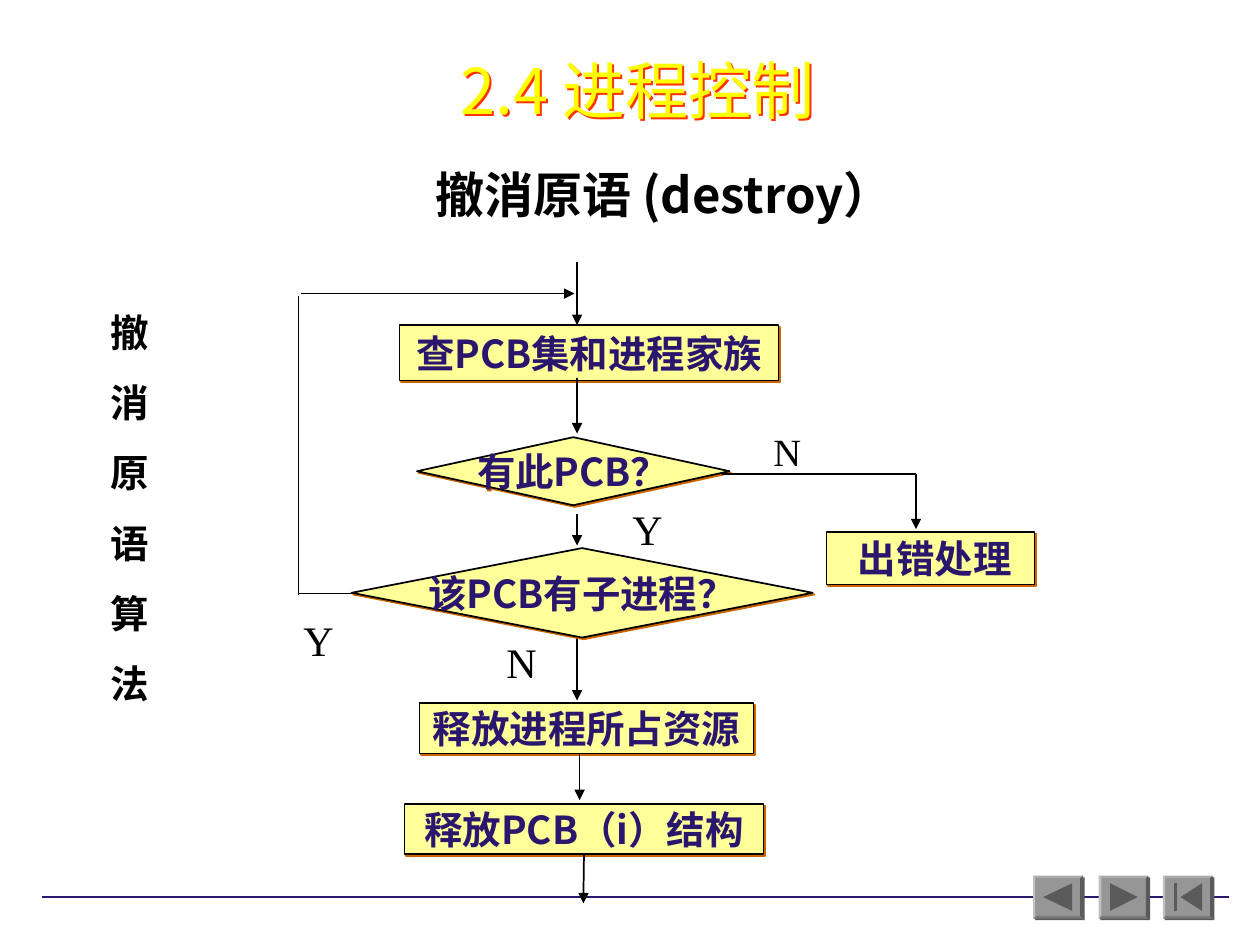
import pptx
import pptx.util
import pptx.dml.color
import pptx.enum.shapes
import pptx.enum.text
import pptx.oxml
import pptx.oxml.ns

# Grid of 100 columns by 75 rows over a 10 x 7.5 inch slide
UNIT = pptx.util.Inches(0.1)
COLUMNS, ROWS = 100, 75
COLORS = {
    "ink": "000000", "title": "FFFF00", "title_shadow": "FF3300",
    "step": "FFFF99", "step_text": "2B166E", "step_shadow": "CC6600",
    "rule": "2B166E", "button": "969696", "button_dark": "5A5A5A",
}
SANS, SANS_TITLE, SERIF = "Noto Sans CJK SC", "Noto Sans CJK JP", "Times New Roman"
KINDS = pptx.enum.shapes.MSO_SHAPE
CENTER = pptx.enum.text.PP_ALIGN.CENTER
LEFT = pptx.enum.text.PP_ALIGN.LEFT
MIDDLE = pptx.enum.text.MSO_ANCHOR.MIDDLE


def grid(*cells):
    return [round(cell * UNIT) for cell in cells]


def rgb(name):
    return pptx.dml.color.RGBColor.from_string(COLORS[name])


def add_shadow(shape, color, distance=1.4):
    """Give the shape a hard shadow to the lower right."""
    shape.shadow.inherit = False
    effects = shape._element.spPr.find(pptx.oxml.ns.qn("a:effectLst"))
    effects.append(pptx.oxml.parse_xml(
        f'<a:outerShdw {pptx.oxml.ns.nsdecls("a")} blurRad="0" '
        f'dist="{pptx.util.Pt(distance)}" dir="2700000" algn="ctr" rotWithShape="0">'
        f'<a:srgbClr val="{COLORS[color]}"/></a:outerShdw>'))


def add_run(paragraph, text, size, font, color, bold=False):
    run = paragraph.add_run()
    run.text = text
    run.font.size = pptx.util.Pt(size)
    run.font.bold = bold
    run.font.color.rgb = rgb(color)
    run.font.name = font
    run.font._element.find(pptx.oxml.ns.qn("a:latin")).addnext(pptx.oxml.parse_xml(
        f'<a:ea {pptx.oxml.ns.nsdecls("a")} typeface="{font}"/>'))


def add_heading(slide, box, text, size, font, color, bold):
    heading = slide.shapes.add_textbox(*grid(*box))
    frame = heading.text_frame
    frame.word_wrap = True
    frame.vertical_anchor = MIDDLE
    frame.paragraphs[0].alignment = CENTER
    add_run(frame.paragraphs[0], text, size, font, color, bold)
    return heading


def add_label(slide, box, lines, size, font, bold=False):
    """Place one paragraph per line, with space between the lines."""
    frame = slide.shapes.add_textbox(*grid(*box)).text_frame
    frame.word_wrap = True
    frame.auto_size = pptx.enum.text.MSO_AUTO_SIZE.SHAPE_TO_FIT_TEXT
    for number, line in enumerate(lines):
        paragraph = frame.add_paragraph() if number else frame.paragraphs[0]
        paragraph.alignment = LEFT
        if number:
            paragraph.space_before = pptx.util.Pt(13.8)
        add_run(paragraph, line, size, font, "ink", bold)


def add_step(slide, kind, box, text, lead=""):
    step = slide.shapes.add_shape(kind, *grid(*box))
    step.fill.solid()
    step.fill.fore_color.rgb = rgb("step")
    step.line.color.rgb = rgb("ink")
    step.line.width = pptx.util.Pt(1)
    add_shadow(step, "step_shadow")
    frame = step.text_frame
    frame.word_wrap = False
    frame.vertical_anchor = MIDDLE
    paragraph = frame.paragraphs[0]
    paragraph.alignment = CENTER
    if lead:
        add_run(paragraph, lead, 22, SANS, "step_text")
    add_run(paragraph, text, 22, SANS, "step_text", True)
    return step


def add_line(slide, ends, arrow=False, color="ink", width=1):
    line = slide.shapes.add_connector(
        pptx.enum.shapes.MSO_CONNECTOR.STRAIGHT, *grid(*ends))
    line.line.color.rgb = rgb(color)
    line.line.width = pptx.util.Pt(width)
    if arrow:
        line.line._get_or_add_ln().append(pptx.oxml.parse_xml(
            f'<a:tailEnd {pptx.oxml.ns.nsdecls("a")} type="triangle"/>'))
    line._element.spPr.append(pptx.oxml.parse_xml(
        f'<a:effectLst {pptx.oxml.ns.nsdecls("a")}/>'))
    return line


def add_button(slide, left, icon):
    """Draw a bevelled button; icon outlines are offsets from its corner."""
    top = 69.5
    button = slide.shapes.add_shape(KINDS.BEVEL, *grid(left, top, 3.95, 3.4))
    button.adjustments[0] = 0.06
    button.fill.solid()
    button.fill.fore_color.rgb = rgb("button")
    button.line.fill.background()
    add_shadow(button, "button_dark")
    for outline in icon:
        points = [grid(left + x, top + y) for x, y in outline]
        builder = slide.shapes.build_freeform(*points[0])
        builder.add_line_segments(points[1:], close=True)
        symbol = builder.convert_to_shape()
        symbol.shadow.inherit = False
        symbol.fill.solid()
        symbol.fill.fore_color.rgb = rgb("button_dark")
        symbol.line.fill.background()


def main():
    deck = pptx.Presentation()
    deck.slide_width, deck.slide_height = grid(COLUMNS, ROWS)
    slide = deck.slides.add_slide(deck.slide_layouts[6])

    # Footer rule and navigation buttons
    add_line(slide, (3.3, 71.2, 97.5, 71.2), color="rule", width=0.75)
    back = [(0.8, 1.7), (3.1, 0.6), (3.1, 2.8)]
    forward = [(0.9, 0.6), (3.1, 1.7), (0.9, 2.8)]
    first = [(1.4, 1.7), (3.1, 0.6), (3.1, 2.8)]
    bar = [(0.9, 0.6), (1.1, 0.6), (1.1, 2.8), (0.9, 2.8)]
    for left, icon in ((82, [back]), (87.2, [forward]), (92.3, [first, bar])):
        add_button(slide, left, icon)

    # Headings and side label
    title = add_heading(slide, (8.1, 3.3, 85, 7.5), "2.4 进程控制",
                        36, SANS_TITLE, "title", False)
    add_shadow(title, "title_shadow", 1.8)
    add_heading(slide, (20, 12.5, 65.4, 5.8), "撤消原语 (destroy）",
                28, SANS, "ink", True)
    add_label(slide, (7.8, 24, 5.6, 32.6), "撤消原语算法", 22, SANS, True)

    # Flowchart steps
    add_step(slide, KINDS.RECTANGLE, (31.7, 25.8, 30.1, 4.4), "查PCB集和进程家族")
    add_step(slide, KINDS.FLOWCHART_DECISION, (33.1, 34.7, 24.8, 5.4), "有此PCB？")
    add_step(slide, KINDS.RECTANGLE, (65.6, 42.2, 16.5, 4.2), "出错处理", lead=" ")
    add_step(slide, KINDS.RECTANGLE, (33.3, 55.8, 26.5, 4), "释放进程所占资源")
    release_pcb = add_step(slide, KINDS.RECTANGLE, (32.1, 63.8, 28.5, 4),
                           "释放PCB（i）结构")

    # Downward flow: column, start row, end row
    for column, start, end in ((45.8, 20.8, 25.8), (45.8, 30, 34.4),
                               (45.8, 40.8, 43.3), (45.8, 50.4, 55.6),
                               (46, 59.8, 63.5)):
        add_line(slide, (column, start, column, end), arrow=True)
    leave = add_line(slide, (46.3, 67.8, 46.3, 71.7), arrow=True)
    leave.begin_connect(release_pcb, 2)

    # Branch to error handling
    add_line(slide, (57.3, 37.6, 72.7, 37.6))
    add_line(slide, (72.7, 37.6, 72.7, 42), arrow=True)

    # Child-process check and its loop back to the start
    add_step(slide, KINDS.FLOWCHART_DECISION, (27.9, 43.5, 36.6, 7.1), "该PCB有子进程？")
    add_line(slide, (28.5, 47.1, 23.7, 47.1))
    add_line(slide, (23.7, 47.2, 23.7, 23.5))
    add_line(slide, (23.9, 23.3, 45.6, 23.3), arrow=True)

    # Branch answers
    for answer, box, size in (("N", (60.4, 33.5, 5, 4.7), 22),
                              ("Y", (49.2, 39.5, 4.4, 5), 24),
                              ("Y", (23.1, 48.3, 4.4, 5), 24),
                              ("N", (39.2, 50, 5, 5), 24)):
        add_label(slide, box, [answer], size, SERIF)

    deck.save("out.pptx")


if __name__ == "__main__":
    main()
